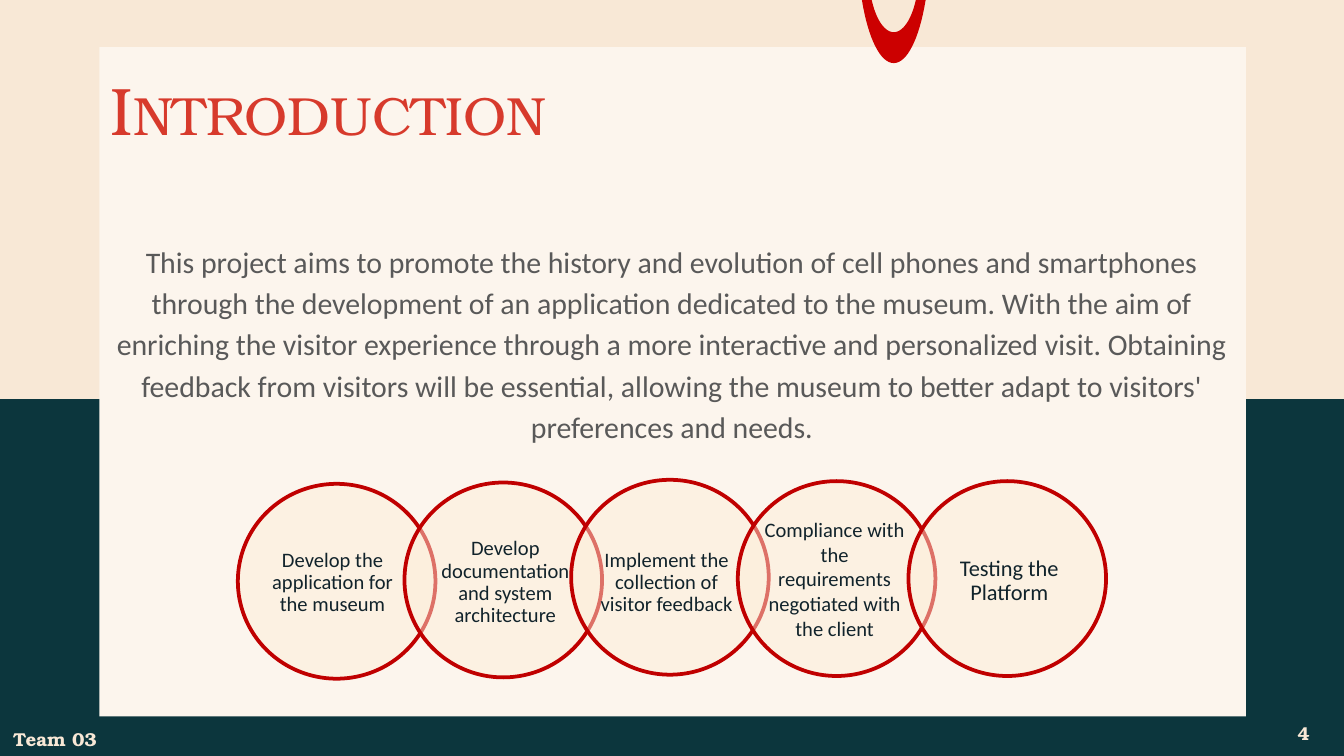
"""Build the museum project introduction slide with its five overlapping goals."""
import math
from dataclasses import dataclass

import pptx
import pptx.dml.color
import pptx.enum.shapes
import pptx.enum.text
import pptx.oxml
import pptx.oxml.ns
import pptx.util

Inches = pptx.util.Inches
ALIGN = pptx.enum.text.PP_ALIGN


@dataclass(frozen=True)
class Theme:
    sand: str = "F8E8D6"
    teal: str = "0C363D"
    panel: str = "FCF5ED"
    clip: str = "CC0000"
    title: str = "D73A2C"
    body: str = "595959"
    circle: str = "FEEDD8"
    ring: str = "C00000"
    label: str = "11232B"
    serif: str = "TeX Gyre Bonum"
    sans: str = "Calibri"
    title_size: float = 36
    body_size: float = 16
    footer_size: float = 10
    circle_opacity: int = 48


@dataclass(frozen=True)
class Box:
    left: float
    top: float
    width: float
    height: float

    def lengths(self) -> tuple:
        return tuple(Inches(v) for v in (self.left, self.top, self.width, self.height))


@dataclass(frozen=True)
class Style:
    font: str
    size: float
    color: str
    bold: bool = False
    align: ALIGN = ALIGN.CENTER
    spacing: float = 1.0
    side_inset: float = 0.1
    end_inset: float = 0.1


@dataclass(frozen=True)
class Goal:
    text: str
    circle_left: float
    circle_top: float
    label: Box
    size: float = 11
    spacing: float = 0.9


THEME = Theme()
WIDTH = 10
HEIGHT = WIDTH * 9 / 16
HORIZON = 2.97
CIRCLE_WIDTH, CIRCLE_HEIGHT = 1.47, 1.45

INTRODUCTION = (
    "This project aims to promote the history and evolution of cell phones and smartphones "
    "through the development of an application dedicated to the museum. With the aim of "
    "enriching the visitor experience through a more interactive and personalized visit. "
    "Obtaining feedback from visitors will be essential, allowing the museum to better adapt "
    "to visitors' preferences and needs."
)

GOALS = (
    Goal("Develop the application for the museum", 1.77, 3.6, Box(1.91, 3.82, 1.13, 1.03)),
    Goal("Develop documentation and system architecture", 3.01, 3.59,
         Box(3.15, 3.82, 1.22, 1.03)),
    Goal("Implement the collection of visitor feedback", 4.25, 3.57,
         Box(4.32, 3.82, 1.28, 1.03)),
    Goal("Compliance with the requirements negotiated with the client", 5.49, 3.58,
         Box(5.57, 3.76, 1.28, 1.09), spacing=1.0),
    Goal("Testing the Platform", 6.76, 3.58, Box(6.99, 3.81, 1.04, 1.03), size=12),
)


def rgb(color: str) -> pptx.dml.color.RGBColor:
    return pptx.dml.color.RGBColor.from_string(color)


def paint(shape, color: str) -> None:
    shape.shadow.inherit = False
    shape.fill.solid()
    shape.fill.fore_color.rgb = rgb(color)
    shape.line.fill.background()


def add_rectangle(slide, box: Box, color: str) -> None:
    kind = pptx.enum.shapes.MSO_SHAPE.RECTANGLE
    paint(slide.shapes.add_shape(kind, *box.lengths()), color)


def write(shape, text: str, style: Style):
    frame = shape.text_frame
    frame.word_wrap = True
    frame.auto_size = pptx.enum.text.MSO_AUTO_SIZE.NONE
    frame.vertical_anchor = pptx.enum.text.MSO_ANCHOR.MIDDLE
    frame.margin_left = frame.margin_right = Inches(style.side_inset)
    frame.margin_top = frame.margin_bottom = Inches(style.end_inset)
    paragraph = frame.paragraphs[0]
    paragraph.alignment = style.align
    paragraph.line_spacing = style.spacing
    run = paragraph.add_run()
    run.text = text
    run.font.name = style.font
    run.font.size = pptx.util.Pt(style.size)
    run.font.bold = style.bold
    run.font.color.rgb = rgb(style.color)
    return run


def add_text(slide, box: Box, text: str, style: Style) -> None:
    write(slide.shapes.add_textbox(*box.lengths()), text, style)


def set_title(slide, box: Box, text: str) -> None:
    title = slide.shapes.title
    title.left, title.top, title.width, title.height = box.lengths()
    style = Style(THEME.serif, THEME.title_size, THEME.title, align=ALIGN.LEFT)
    run = write(title, text, style)
    run.font._element.set("cap", "small")
    slide.shapes.element.append(title.element)


def arc_below_edge(center_x: float, center_y: float, radius_x: float, radius_y: float) -> list:
    steps = 32
    start = math.asin(-center_y / radius_y)
    angles = [start + (math.pi - 2 * start) * i / steps for i in range(steps + 1)]
    return [(Inches(center_x + radius_x * math.cos(a)), Inches(center_y + radius_y * math.sin(a)))
            for a in angles]


def add_clip(slide) -> None:
    outer = arc_below_edge(6.65, -0.43, 0.27, 0.9)
    inner = arc_below_edge(6.65, -0.24, 0.19, 0.48)
    points = outer + inner[::-1]
    builder = slide.shapes.build_freeform(*points[0], scale=1.0)
    builder.add_line_segments(points[1:], close=True)
    paint(builder.convert_to_shape(), THEME.clip)


def add_goal(slide, goal: Goal) -> None:
    box = Box(goal.circle_left, goal.circle_top, CIRCLE_WIDTH, CIRCLE_HEIGHT)
    circle = slide.shapes.add_shape(pptx.enum.shapes.MSO_SHAPE.OVAL, *box.lengths())
    paint(circle, THEME.circle)
    color = circle.element.spPr.find(".//" + pptx.oxml.ns.qn("a:srgbClr"))
    alpha = color.makeelement(pptx.oxml.ns.qn("a:alpha"),
                              {"val": str(THEME.circle_opacity * 1000)})
    color.append(alpha)
    circle.line.color.rgb = rgb(THEME.ring)
    circle.line.width = pptx.util.Pt(2)
    style = Style(THEME.sans, goal.size, THEME.label, spacing=goal.spacing,
                  side_inset=0.11, end_inset=0.02)
    add_text(slide, goal.label, goal.text, style)


def main() -> None:
    presentation = pptx.Presentation()
    presentation.slide_width, presentation.slide_height = Inches(WIDTH), Inches(HEIGHT)
    slide = presentation.slides.add_slide(presentation.slide_layouts[5])

    add_rectangle(slide, Box(0, 0, WIDTH, HEIGHT), THEME.sand)
    add_rectangle(slide, Box(0, HORIZON, WIDTH, HEIGHT - HORIZON), THEME.teal)
    add_rectangle(slide, Box(0.74, 0.35, 8.53, 4.98), THEME.panel)
    add_clip(slide)
    set_title(slide, Box(0.72, 0.49, 8.94, 0.63), "Introduction")

    number = Style(THEME.serif, THEME.footer_size, THEME.sand, bold=True)
    team = Style(THEME.serif, THEME.footer_size, THEME.sand, bold=True, align=ALIGN.LEFT)
    body = Style(THEME.sans, THEME.body_size, THEME.body, spacing=1.15)
    add_text(slide, Box(9.4, 5.24, 0.6, 0.43), "4", number)
    add_text(slide, Box(0.72, 1.86, 8.56, 1.36), INTRODUCTION, body)
    add_text(slide, Box(0, 5.32, 0.94, 0.35), "Team 03", team)
    for goal in GOALS:
        add_goal(slide, goal)
    presentation.save("out.pptx")


if __name__ == "__main__":
    main()
